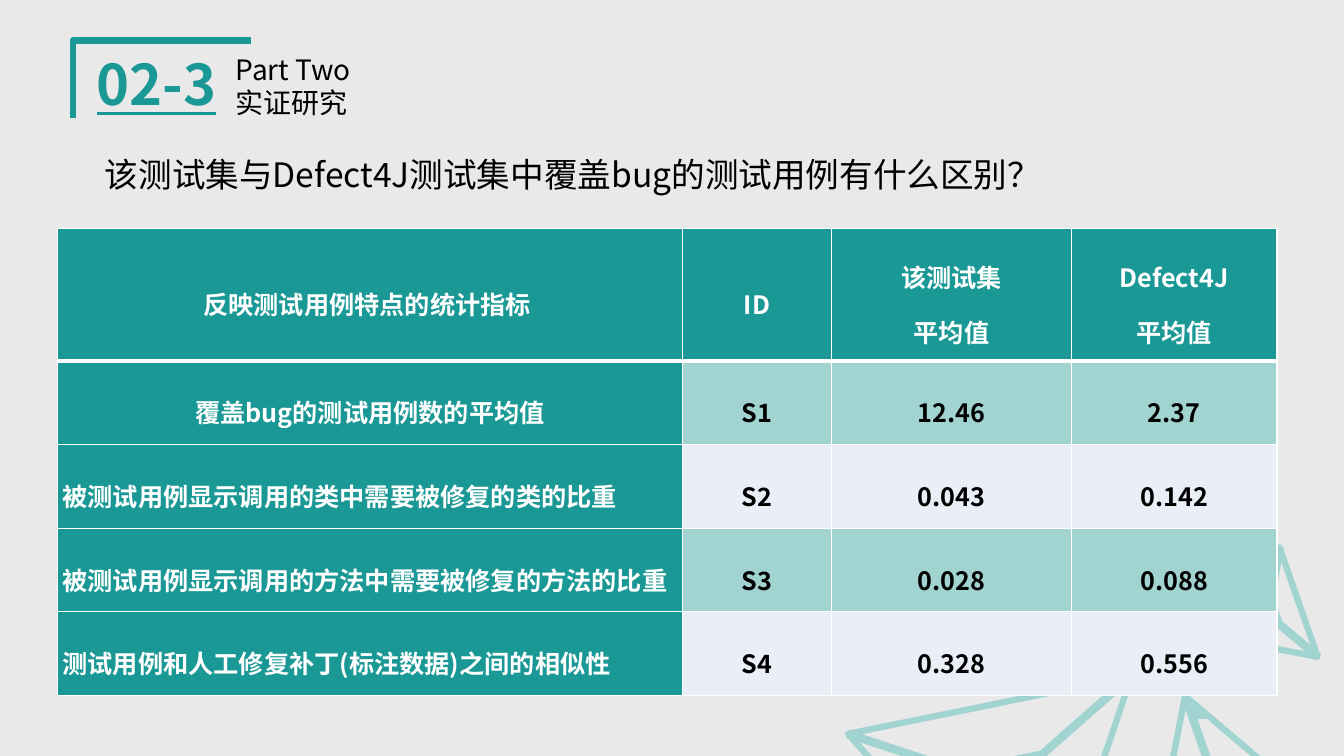
from pptx import Presentation
from pptx.dml.color import RGBColor
from pptx.enum.shapes import MSO_CONNECTOR, MSO_SHAPE
from pptx.enum.text import MSO_ANCHOR, MSO_AUTO_SIZE, PP_ALIGN
from pptx.oxml.ns import qn
from pptx.util import Pt
from lxml.etree import SubElement, Element

FONT = "Noto Sans CJK SC"
COLORS = {"back": "E9E9E9", "teal": "1A9895", "mint": "A1D3D0",
          "pale": "EAEFF7", "black": "000000", "white": "FFFFFF"}

QUESTION = "该测试集与Defect4J测试集中覆盖bug的测试用例有什么区别？"
COLUMN_WIDTHS = [446.4, 106.6, 171.4, 146.8]
HEADER_HEIGHT, ROW_HEIGHT = 94.3, 59.8
ROWS = [
    ["反映测试用例特点的统计指标 ", "ID", "该测试集\n平均值", "Defect4J\n平均值"],
    ["覆盖bug的测试用例数的平均值", "S1", "12.46", "2.37"],
    ["被测试用例显示调用的类中需要被修复的类的比重", "S2", "0.043", "0.142"],
    ["被测试用例显示调用的方法中需要被修复的方法的比重", "S3", "0.028", "0.088"],
    ["测试用例和人工修复补丁(标注数据)之间的相似性", "S4", "0.328", "0.556"],
]

# Each facet: outer triangle, rotation, hub, spoke ends, small triangle, patch
FACETS = [
    {"outer": (208.6, 114.6, 105.8, 90.7), "turn": 340.7,
     "hub": (266.2, 173.7), "ends": [(246.7, 117.5)],
     "patch": [(253.9, 133.4), (262.6, 132.6), (250.3, 122.6)]},
    {"outer": (21.4, 121.8, 206.6, 177.8), "turn": 168.5,
     "hub": (118.6, 181.6), "ends": [(207.8, 103.1), (5.5, 144.2)],
     "inner": (89.8, 162.2, 54, 16.6)},
    {"outer": (252.5, 26.1, 82.8, 71.3), "turn": 250.8,
     "hub": (305, 58.5), "ends": [(260.4, 73.6), (341.8, 89.4), (314.4, 11)],
     "inner": (298.6, 53.4, 21.6, 6.5),
     "patch": [(272.6, 67.8), (272.6, 61.4), (264.7, 70.7)]},
]


def color(name):
    return RGBColor.from_string(COLORS[name])


def paint(shape, fill, line, width):
    shape.shadow.inherit = False
    if fill:
        shape.fill.solid()
        shape.fill.fore_color.rgb = color(fill)
    else:
        shape.fill.background()
    shape.line.color.rgb = color(line)
    shape.line.width = Pt(width)


def write(frame, text, ink, align=PP_ALIGN.LEFT, spacing=None, **formats):
    """Fill a text frame, one paragraph for each line of text."""
    for number, line in enumerate(text.split("\n")):
        paragraph = frame.add_paragraph() if number else frame.paragraphs[0]
        paragraph.alignment = align
        if spacing:
            paragraph.line_spacing = spacing
        run = paragraph.add_run()
        run.text = line
        run.font.name = FONT
        SubElement(run.font._element, qn("a:ea"), typeface=FONT)
        run.font.color.rgb = color(ink)
        for name, value in formats.items():
            setattr(run.font, name, value)


def add_polygon(slide, points, closed):
    builder = slide.shapes.build_freeform(*points[0], scale=Pt(1))
    builder.add_line_segments(points[1:], close=closed)
    return builder.convert_to_shape()


def add_triangle(slide, left, top, box, turn, fill, width):
    x, y, w, h = box
    shape = slide.shapes.add_shape(MSO_SHAPE.ISOSCELES_TRIANGLE,
                                   Pt(left + x), Pt(top + y), Pt(w), Pt(h))
    shape.rotation = turn
    paint(shape, fill, "mint", width)


def add_facets(slide, left, top):
    """Draw the wire-frame crystals in the lower right corner."""
    for facet in FACETS:
        add_triangle(slide, left, top, facet["outer"], facet["turn"], "back", 4.5)
        hub_x, hub_y = facet["hub"]
        for x, y in facet["ends"]:
            spoke = slide.shapes.add_connector(
                MSO_CONNECTOR.STRAIGHT, Pt(left + x), Pt(top + y),
                Pt(left + hub_x), Pt(top + hub_y))
            spoke.line.color.rgb = color("mint")
            spoke.line.width = Pt(6)
            SubElement(spoke._element.spPr, qn("a:effectLst"))
        if "inner" in facet:
            add_triangle(slide, left, top, facet["inner"], facet["turn"], "mint", 1)
        if "patch" in facet:
            points = [(left + x, top + y) for x, y in facet["patch"]]
            paint(add_polygon(slide, points, True), "mint", "mint", 1)


def add_label(slide, left, top, width, height, text, ink, **formats):
    box = slide.shapes.add_textbox(Pt(left), Pt(top), Pt(width), Pt(height))
    box.text_frame.word_wrap = True
    write(box.text_frame, text, ink, **formats)


def add_section_mark(slide, left, top, width, height):
    corner = [(left, top + height), (left, top), (left + width, top)]
    paint(add_polygon(slide, corner, False), None, "teal", 4.5)
    add_label(slide, left + 10.1, top + 2.9, 156.2, 55.4, "02-3", "teal",
              size=Pt(40), bold=True, underline=True)
    add_label(slide, left + 109.5, top + 5, 172.8, 55.4, "Part Two\n实证研究",
              "black", size=Pt(20))


def set_title(slide, left, top, width, height):
    title = slide.shapes.title
    title.left, title.top = Pt(left), Pt(top)
    title.width, title.height = Pt(width), Pt(height)
    frame = title.text_frame
    frame.word_wrap = True
    frame.auto_size = MSO_AUTO_SIZE.NONE
    frame.vertical_anchor = MSO_ANCHOR.TOP
    write(frame, QUESTION, "black", size=Pt(24))


def set_borders(cell, widths):
    """Give the cell white borders; widths maps a side letter to points."""
    properties = cell._tc.get_or_add_tcPr()
    for position, (side, width) in enumerate(widths.items()):
        border = Element(qn("a:ln" + side), w=str(Pt(width)))
        fill = SubElement(border, qn("a:solidFill"))
        SubElement(fill, qn("a:srgbClr"), val=COLORS["white"])
        properties.insert(position, border)


def add_metrics_table(slide, left, top):
    height = HEADER_HEIGHT + ROW_HEIGHT * (len(ROWS) - 1)
    table = slide.shapes.add_table(
        len(ROWS), len(COLUMN_WIDTHS), Pt(left), Pt(top),
        Pt(sum(COLUMN_WIDTHS)), Pt(height)).table
    for column, width in zip(table.columns, COLUMN_WIDTHS):
        column.width = Pt(width)
    for r, values in enumerate(ROWS):
        table.rows[r].height = Pt(ROW_HEIGHT if r else HEADER_HEIGHT)
        for c, value in enumerate(values):
            cell = table.cell(r, c)
            heading = r == 0 or c == 0
            cell.fill.solid()
            cell.fill.fore_color.rgb = color(
                "teal" if heading else "mint" if r % 2 else "pale")
            cell.vertical_anchor = MSO_ANCHOR.MIDDLE
            cell.margin_left = cell.margin_right = Pt(3.6)
            cell.margin_top = cell.margin_bottom = 0
            set_borders(cell, {"L": 1, "R": 1, "T": 3 if r == 1 else 1,
                               "B": 1 if r else 3})
            align = PP_ALIGN.LEFT if c == 0 and r > 1 else PP_ALIGN.CENTER
            write(cell.text_frame, value, "white" if heading else "black",
                  align, 1.5, size=Pt(18), bold=True)


def build_comparison_slide(presentation):
    slide = presentation.slides.add_slide(presentation.slide_layouts[5])
    slide.background.fill.solid()
    slide.background.fill.fore_color.rgb = color("back")
    set_title(slide, 67.7, 106.6, 818.6, 36)
    add_facets(slide, 600, 380)
    add_metrics_table(slide, 41, 163.4)
    add_section_mark(slide, 51.8, 28.8, 126.8, 55.4)


def main():
    presentation = Presentation()
    presentation.slide_width, presentation.slide_height = Pt(960), Pt(540)
    build_comparison_slide(presentation)
    presentation.save("out.pptx")


if __name__ == "__main__":
    main()
